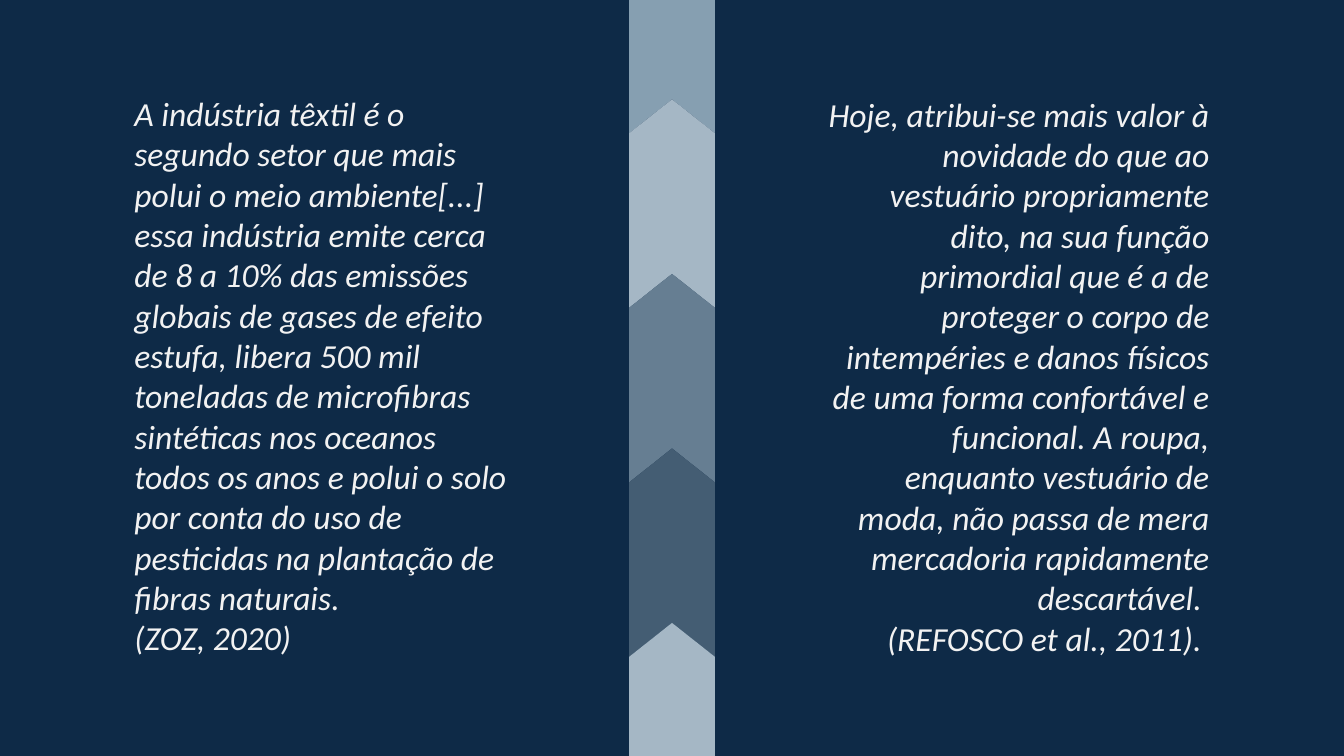
from lxml import etree
from pptx import Presentation
from pptx import util as u
from pptx.dml import color
from pptx.enum import text
from pptx.oxml import ns

NAVY, OFF_WHITE = "0E2A47", "F2F2F2"
ARROW_COLOURS = ["869FB1", "A5B7C5", "667E92", "445D73", "A5B7C5"]
ZOZ_QUOTE = [
    "A indústria têxtil é o segundo setor que mais polui o meio ambiente[...] "
    "essa indústria emite cerca de 8 a 10% das emissões globais de gases de "
    "efeito estufa, libera 500 mil toneladas de microfibras sintéticas nos "
    "oceanos todos os anos e polui o solo por conta do uso de pesticidas na "
    "plantação de fibras naturais.",
    "(ZOZ, 2020)",
]
REFOSCO_QUOTE = [
    "Hoje, atribui-se mais valor à novidade do que ao vestuário propriamente "
    "dito, na sua função primordial que é a de proteger o corpo de intempéries "
    "e danos físicos de uma forma confortável e funcional. A roupa, enquanto "
    "vestuário de moda, não passa de mera mercadoria rapidamente descartável. ",
    "(REFOSCO et al., 2011). ",
]


def paint(fill, colour):
    """Give a fill one solid colour from a hex string."""
    fill.solid()
    fill.fore_color.rgb = color.RGBColor.from_string(colour)


def place_quote(body, box, passages, alignment):
    """Move a body placeholder to its box and write the quote in italics."""
    body.left, body.top, body.width, body.height = map(u.Pt, box)
    frame = body.text_frame
    frame.word_wrap = True
    frame.auto_size = text.MSO_AUTO_SIZE.SHAPE_TO_FIT_TEXT
    frame.vertical_anchor = text.MSO_ANCHOR.TOP
    for index, passage in enumerate(passages):
        paragraph = frame.add_paragraph() if index else frame.paragraphs[0]
        paragraph.alignment = alignment
        paragraph.space_before = u.Pt(0)
        properties = paragraph._p.get_or_add_pPr()
        properties.set("marL", "0")
        properties.set("indent", "0")
        etree.SubElement(properties, ns.qn("a:buNone"))
        run = paragraph.add_run()
        run.text = passage
        run.font.name = "Calibri"
        run.font.size = u.Pt(18)
        run.font.italic = True
        paint(run.font.fill, OFF_WHITE)


def place_arrow_band(slide, box, colours, tip):
    """Stack upward chevrons of equal pitch that fill the box."""
    left, top, width, height = box
    pitch = height / len(colours)
    middle, right = left + width / 2, left + width
    for index, colour in enumerate(colours):
        peak = top + index * pitch
        shoulder, foot = peak + tip, peak + pitch
        outline = [(middle, peak), (right, shoulder), (right, foot + tip),
                   (middle, foot), (left, foot + tip), (left, shoulder)]
        points = [(u.Pt(x), u.Pt(y)) for x, y in outline]
        builder = slide.shapes.build_freeform(*points[0])
        builder.add_line_segments(points[1:], close=True)
        chevron = builder.convert_to_shape()
        chevron.shadow.inherit = False
        paint(chevron.fill, colour)
        chevron.line.fill.background()


def main():
    """Build the slide of two quotes and save it."""
    deck = Presentation()
    deck.slide_width, deck.slide_height = u.Pt(720), u.Pt(405)
    slide = deck.slides.add_slide(deck.slide_layouts[3])
    paint(slide.background.fill, NAVY)
    title, pollution, fashion = slide.placeholders
    title.element.getparent().remove(title.element)
    place_quote(pollution, (64.8, 46.2, 219, 312.5), ZOZ_QUOTE, text.PP_ALIGN.LEFT)
    place_quote(fashion, (436.2, 46.5, 219, 312.5), REFOSCO_QUOTE, text.PP_ALIGN.RIGHT)
    place_arrow_band(slide, (337, -40.3, 46, 467.5), ARROW_COLOURS, 18.2)
    deck.save("out.pptx")


if __name__ == "__main__":
    main()
